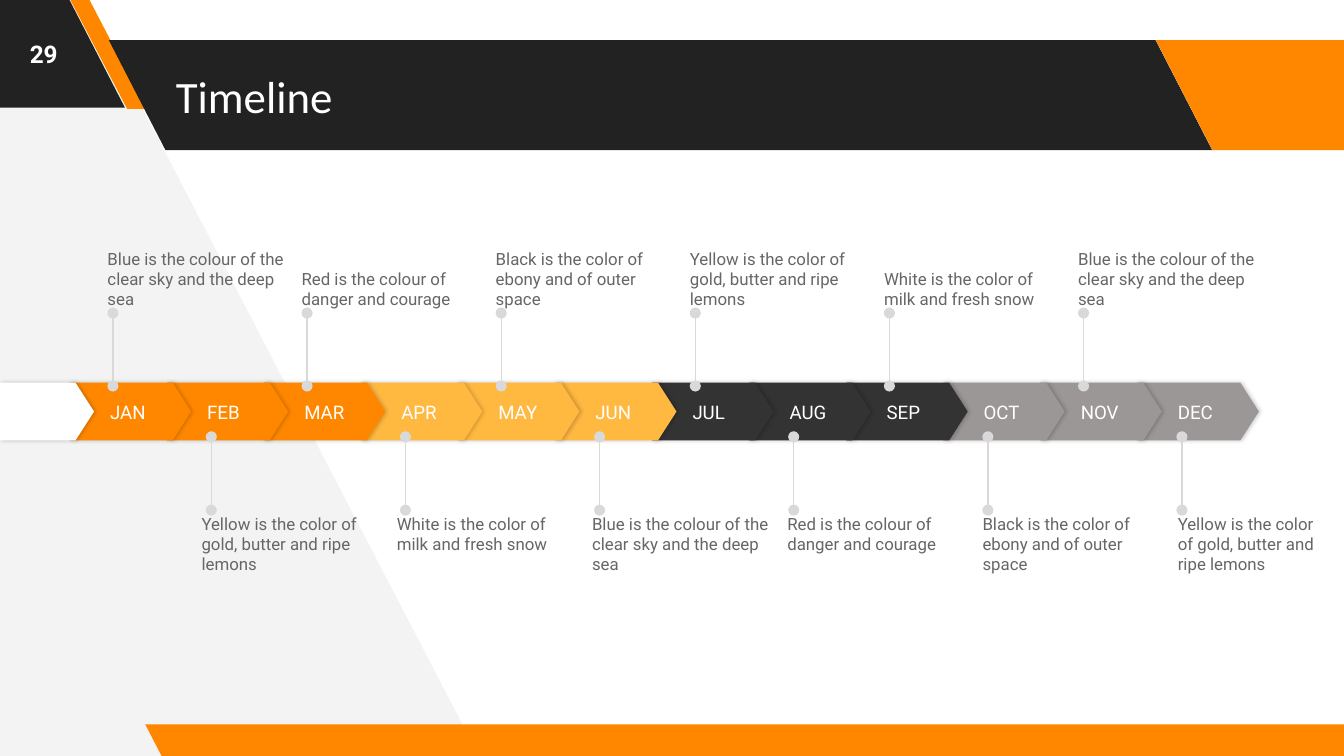
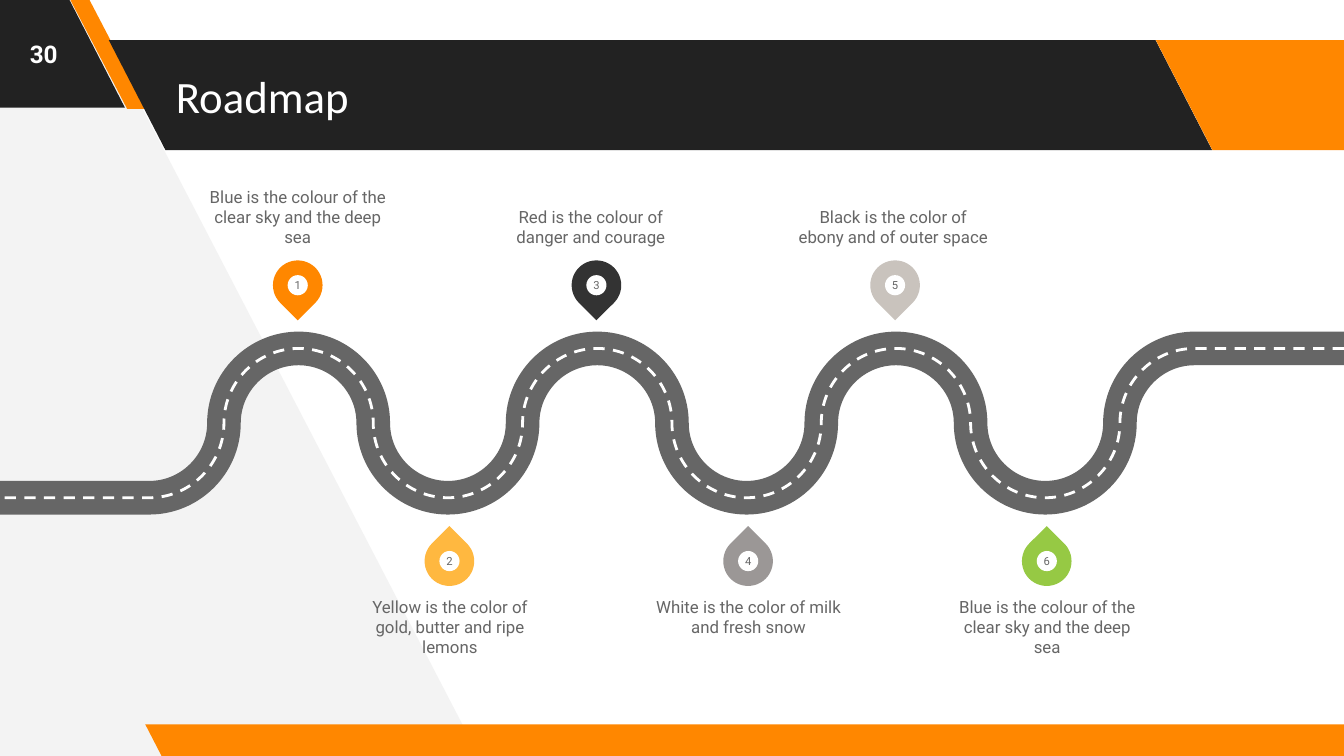
from dataclasses import dataclass
from typing import Any

from lxml.etree import SubElement
from pptx import Presentation
from pptx.dml.color import RGBColor
from pptx.enum.dml import MSO_LINE
from pptx.enum.shapes import MSO_CONNECTOR, MSO_SHAPE
from pptx.enum.text import MSO_ANCHOR, PP_ALIGN
from pptx.oxml.ns import qn
from pptx.util import Pt

ORANGE = RGBColor(0xFF, 0x87, 0x00)
AMBER = RGBColor(0xFF, 0xB8, 0x40)
BLACK = RGBColor(0x22, 0x22, 0x22)
CHARCOAL = RGBColor(0x33, 0x33, 0x33)
GRAY = RGBColor(0x9B, 0x97, 0x96)
STONE = RGBColor(0xC9, 0xC3, 0xBD)
GREEN = RGBColor(0x96, 0xC9, 0x44)
TEXT_GRAY = RGBColor(0x66, 0x66, 0x66)
PALE_GRAY = RGBColor(0xF3, 0xF3, 0xF3)
LINE_GRAY = RGBColor(0xD9, 0xD9, 0xD9)
WHITE = RGBColor(0xFF, 0xFF, 0xFF)

SLIDE_WIDTH, SLIDE_HEIGHT = 720, 405
Point = tuple[float, float]


@dataclass(frozen=True)
class Box:
    left: float
    top: float
    width: float
    height: float

    def lengths(self) -> tuple[Pt, Pt, Pt, Pt]:
        return Pt(self.left), Pt(self.top), Pt(self.width), Pt(self.height)


@dataclass(frozen=True)
class TextStyle:
    size: float
    color: RGBColor
    font: str = "Roboto"
    bold: bool = False
    align: PP_ALIGN = PP_ALIGN.LEFT
    anchor: MSO_ANCHOR = MSO_ANCHOR.MIDDLE
    insets: tuple[float, float, float, float] = (0, 0, 0, 0)


@dataclass(frozen=True)
class Band:
    box: Box
    slant: float
    color: RGBColor


@dataclass(frozen=True)
class Callout:
    text: str
    width: float = 98.6


@dataclass(frozen=True)
class Milestone:
    color: RGBColor
    caption_left: float
    text: str


BLUE_TEXT = "Blue is the colour of the clear sky and the deep sea"
RED_TEXT = "Red is the colour of danger and courage"
BLACK_TEXT = "Black is the color of ebony and of outer space"
YELLOW_TEXT = "Yellow is the color of gold, butter and ripe lemons"
WHITE_TEXT = "White is the color of milk and fresh snow"

FRAME_INSETS = (7.2, 7.2, 7.2, 7.2)
TITLE_STYLE = TextStyle(24, WHITE, "Calibri", insets=FRAME_INSETS)
NUMBER_STYLE = TextStyle(13, WHITE, bold=True, align=PP_ALIGN.CENTER, insets=FRAME_INSETS)
MONTH_STYLE = TextStyle(10, WHITE, insets=(21.6, 0, 0, 0))
PIN_STYLE = TextStyle(6, TEXT_GRAY, align=PP_ALIGN.CENTER)

BACKDROP: list[Point] = [(256.3, 404.6), (44.6, -2.9), (-4.3, -2.9), (-1.4, 407.5)]
BANDS = [
    Band(Box(-71.3, -1.4, 138.2, 59), 0.515, BLACK),
    Band(Box(37.4, -0.7, 41, 59), 0.75, ORANGE),
    Band(Box(58.3, 21.5, 591.1, 59), 0.515, BLACK),
    Band(Box(619.2, 21.5, 138.2, 59), 0.515, ORANGE),
    Band(Box(77.8, 388, 658.8, 18), 0.515, ORANGE),
]

MONTHS = ["JAN", "FEB", "MAR", "APR", "MAY", "JUN",
          "JUL", "AUG", "SEP", "OCT", "NOV", "DEC"]
QUARTER_COLORS = [ORANGE, AMBER, CHARCOAL, GRAY]
MONTH_LEFT, MONTH_STEP, MONTH_TOP, MONTH_HEIGHT = 37.4, 52, 205, 31
UPPER_CALLOUTS = [Callout(text) for text in
                  (BLUE_TEXT, RED_TEXT, BLACK_TEXT, YELLOW_TEXT, WHITE_TEXT, BLUE_TEXT)]
LOWER_CALLOUTS = [Callout(text) for text in
                  (YELLOW_TEXT, WHITE_TEXT, BLUE_TEXT, RED_TEXT, BLACK_TEXT)]
LOWER_CALLOUTS.append(Callout(YELLOW_TEXT, 81.4))

MILESTONES = [
    Milestone(ORANGE, 108.5, BLUE_TEXT),
    Milestone(AMBER, 190, YELLOW_TEXT),
    Milestone(CHARCOAL, 265.5, RED_TEXT),
    Milestone(GRAY, 350, WHITE_TEXT),
    Milestone(STONE, 427.5, BLACK_TEXT),
    Milestone(GREEN, 510, BLUE_TEXT),
]
ROAD_MIDDLE, ROAD_RADIUS, ROAD_TURN, QUARTER_TURNS = 226.7, 40, 640, 14
CURVE = 0.55


def set_values(target: Any, values: dict[str, Any]) -> None:
    for name, value in values.items():
        setattr(target, name, value)


def write_text(shape: Any, text: str, style: TextStyle) -> None:
    left, top, right, bottom = style.insets
    frame = shape.text_frame
    set_values(frame, {
        "word_wrap": True, "vertical_anchor": style.anchor,
        "margin_left": Pt(left), "margin_top": Pt(top),
        "margin_right": Pt(right), "margin_bottom": Pt(bottom),
    })
    paragraph = frame.paragraphs[0]
    paragraph.alignment = style.align
    run = paragraph.add_run()
    run.text = text
    set_values(run.font, {"name": style.font, "size": Pt(style.size), "bold": style.bold})
    run.font.color.rgb = style.color


def add_text(shapes: Any, box: Box, text: str, style: TextStyle) -> None:
    write_text(shapes.add_textbox(*box.lengths()), text, style)


def paint(shape: Any, color: RGBColor) -> None:
    shape.shadow.inherit = False
    shape.fill.solid()
    shape.fill.fore_color.rgb = color
    shape.line.fill.background()


def add_filled(shapes: Any, kind: MSO_SHAPE, box: Box, color: RGBColor,
               adjustment: float | None = None) -> Any:
    shape = shapes.add_shape(kind, *box.lengths())
    paint(shape, color)
    if adjustment is not None:
        shape.adjustments[0] = adjustment
    return shape


def add_outline(shapes: Any, points: list[Point], close: bool) -> Any:
    corners = [(Pt(x), Pt(y)) for x, y in points]
    builder = shapes.build_freeform(*corners[0])
    builder.add_line_segments(corners[1:], close=close)
    return builder.convert_to_shape()


def add_soft_shadow(shape: Any) -> None:
    effects = shape.element.spPr.find(qn("a:effectLst"))
    shadow = SubElement(effects, qn("a:outerShdw"), blurRad=str(Pt(2.2)),
                        dist=str(Pt(0.8)), dir="0", algn="bl", rotWithShape="0")
    color = SubElement(shadow, qn("a:srgbClr"), val="000000")
    SubElement(color, qn("a:alpha"), val="20000")


def add_dotted_end_line(shapes: Any, x: float, start: float, end: float) -> None:
    connector = shapes.add_connector(MSO_CONNECTOR.STRAIGHT, Pt(x), Pt(start), Pt(x), Pt(end))
    connector.line.color.rgb = LINE_GRAY
    connector.line.width = Pt(0.75)
    line = connector.line._get_or_add_ln()
    for end_name in ("a:headEnd", "a:tailEnd"):
        SubElement(line, qn(end_name), type="oval")
    SubElement(connector.element.spPr, qn("a:effectLst"))


def add_frame(presentation: Any, title: str, number: str) -> Any:
    slide = presentation.slides.add_slide(presentation.slide_layouts[6])
    shapes = slide.shapes
    paint(add_outline(shapes, BACKDROP, True), PALE_GRAY)
    for band in BANDS:
        shape = add_filled(shapes, MSO_SHAPE.PARALLELOGRAM, band.box, band.color, band.slant)
        shape.element.spPr.get_or_add_xfrm().set("flipH", "1")
    add_text(shapes, Box(87.1, 21.5, 529.2, 59), title, TITLE_STYLE)
    add_text(shapes, Box(0, 0, 46.8, 57.6), number, NUMBER_STYLE)
    return slide


def caption_style(above: bool, align: PP_ALIGN) -> TextStyle:
    anchor = MSO_ANCHOR.BOTTOM if above else MSO_ANCHOR.TOP
    return TextStyle(9, TEXT_GRAY, align=align, anchor=anchor)


def add_month_arrow(shapes: Any, left: float, width: float, color: RGBColor) -> Any:
    box = Box(left, MONTH_TOP, width, MONTH_HEIGHT)
    arrow = add_filled(shapes, MSO_SHAPE.PENTAGON, box, color, 0.32)
    add_soft_shadow(arrow)
    return arrow


def add_timeline(slide: Any) -> None:
    shapes = slide.shapes
    for index, month in reversed(list(enumerate(MONTHS))):
        arrow = add_month_arrow(shapes, MONTH_LEFT + index * MONTH_STEP, 65,
                                QUARTER_COLORS[index // 3])
        write_text(arrow, month, MONTH_STYLE)
    add_month_arrow(shapes, 0, 50.4, WHITE)
    for index, callout in enumerate(UPPER_CALLOUTS):
        offset = index * 2 * MONTH_STEP
        add_dotted_end_line(shapes, 60.5 + offset, 206.8, 167.7)
        add_text(shapes, Box(57.6 + offset, 123.8, callout.width, 41.8), callout.text,
                 caption_style(True, PP_ALIGN.LEFT))
    for index, callout in enumerate(LOWER_CALLOUTS):
        add_dotted_end_line(shapes, 113.2 + index * 2 * MONTH_STEP, 273.3, 234)
        add_text(shapes, Box(108 + index * 104.6, 275, callout.width, 41.8), callout.text,
                 caption_style(False, PP_ALIGN.LEFT))


def road_points() -> list[Point]:
    reach = ROAD_RADIUS * CURVE
    top, bottom = ROAD_MIDDLE - ROAD_RADIUS, ROAD_MIDDLE + ROAD_RADIUS
    points: list[Point] = [(SLIDE_WIDTH, top), (ROAD_TURN, top)]
    for turn in range(QUARTER_TURNS):
        start = ROAD_TURN - turn * ROAD_RADIUS
        end = start - ROAD_RADIUS
        level = bottom if turn % 4 in (1, 2) else top
        control = ROAD_MIDDLE + (level - ROAD_MIDDLE) * CURVE
        if turn % 2 == 0:
            points += [(start - reach, level), (end, control), (end, ROAD_MIDDLE)]
        else:
            points += [(start, control), (end + reach, level), (end, level)]
    return points + [(0, bottom)]


def add_road(shapes: Any, color: RGBColor, width: float, dash: MSO_LINE | None = None) -> None:
    road = add_outline(shapes, road_points(), False)
    segments = list(road.element.iter(qn("a:lnTo")))[1:-1]
    for first in range(0, len(segments), 3):
        segment, *others = segments[first:first + 3]
        segment.tag = qn("a:cubicBezTo")
        for other in others:
            segment.append(other[0])
            other.getparent().remove(other)
    road.shadow.inherit = False
    road.fill.background()
    road.line.color.rgb = color
    set_values(road.line, {"width": Pt(width), "dash_style": dash})


def add_milestone(shapes: Any, index: int, milestone: Milestone) -> None:
    above = index % 2 == 0
    pin_size, hole_size = 26.6, 10.8
    left = (146.2 if above else 227.5) + index // 2 * 4 * ROAD_RADIUS
    top = 139.5 if above else 287.3
    inset = (pin_size - hole_size) / 2
    group = shapes.add_group_shape()
    pin = add_filled(group.shapes, MSO_SHAPE.TEAR, Box(left, top, pin_size, pin_size),
                     milestone.color, 1)
    pin.rotation = 135 if above else 315
    hole = add_filled(group.shapes, MSO_SHAPE.OVAL,
                      Box(left + inset, top + inset, hole_size, hole_size), WHITE)
    write_text(hole, str(index + 1), PIN_STYLE)
    add_text(shapes, Box(milestone.caption_left, 90.7 if above else 319.7, 102, 41.8),
             milestone.text, caption_style(above, PP_ALIGN.CENTER))


def add_roadmap(slide: Any) -> None:
    add_road(slide.shapes, TEXT_GRAY, 18)
    add_road(slide.shapes, WHITE, 1.5, MSO_LINE.DASH)
    for index, milestone in enumerate(MILESTONES):
        add_milestone(slide.shapes, index, milestone)


def main() -> None:
    presentation = Presentation()
    set_values(presentation, {"slide_width": Pt(SLIDE_WIDTH), "slide_height": Pt(SLIDE_HEIGHT)})
    add_timeline(add_frame(presentation, "Timeline", "29"))
    add_roadmap(add_frame(presentation, "Roadmap", "30"))
    presentation.save("out.pptx")


if __name__ == "__main__":
    main()
